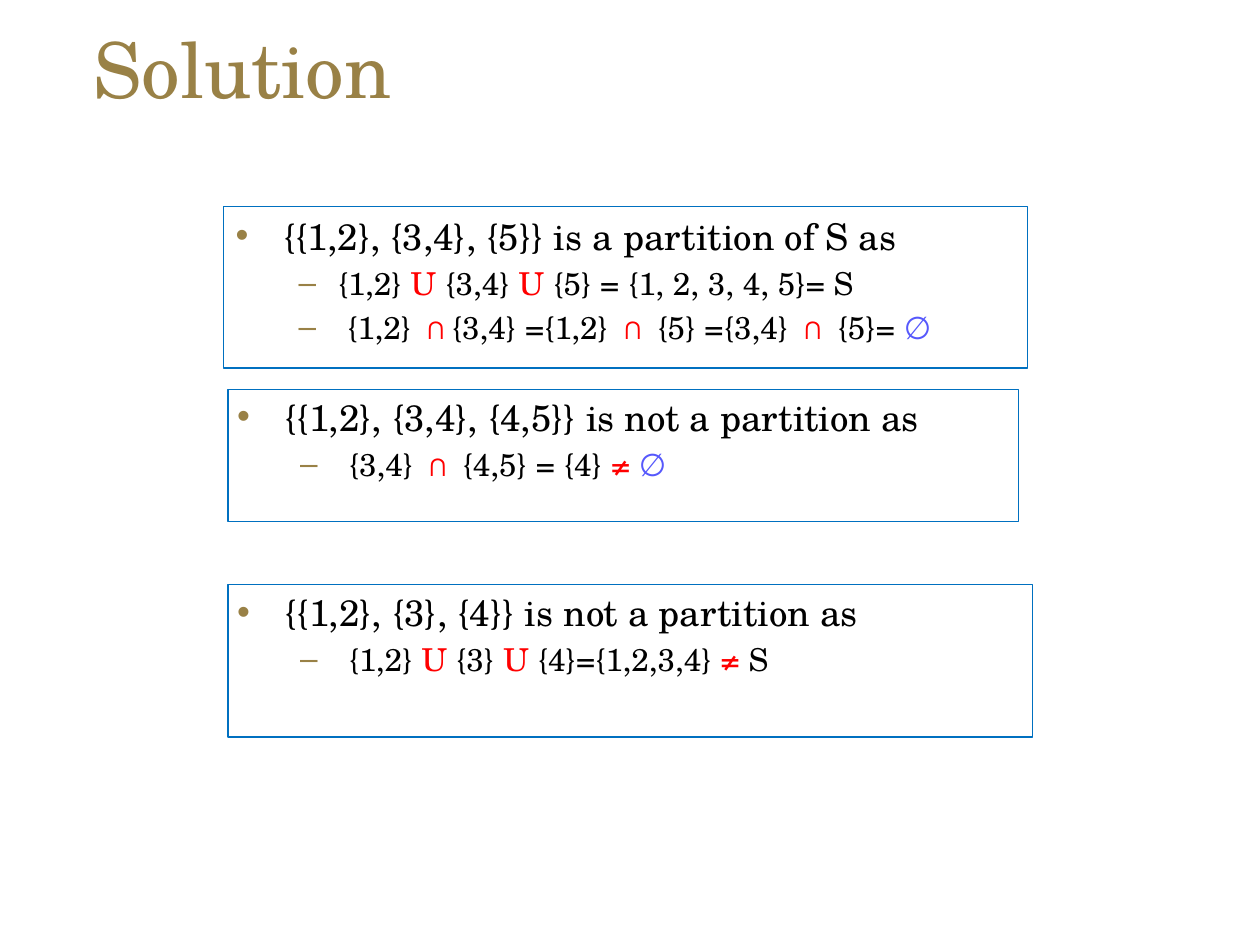
"""Build the slide that checks three families of sets for being partitions."""
from itertools import groupby

from lxml import etree
from pptx import Presentation
from pptx import util as u
from pptx.dml.color import RGBColor
from pptx.enum import shapes, text
from pptx.oxml.ns import qn

GOLD = RGBColor(0x99, 0x81, 0x46)
BLUE = RGBColor(0x00, 0x70, 0xC0)
BLACK = RGBColor(0x00, 0x00, 0x00)
RED = RGBColor(0xFF, 0x00, 0x00)
VIOLET = RGBColor(0x56, 0x58, 0xFC)
SYMBOLS = {"U": RED, "∩": RED, "≠": RED, "∅": VIOLET}

WIDE, NARROW = (0.25, 0.13), (0.18, 0.1)
CLAIM = ("•", 21, 0.96, 0.96)
STEP = ("–", 18, 2.06, 0.79)
INSET_STEP = ("–", 18, 2.25, 0.98)

PANELS = [
    ((4.5, 4.17, 16.21, 3.25), WIDE, [
        (CLAIM, "{{1,2}, {3,4}, {5}} is a partition of S as"),
        (STEP, "{1,2} U {3,4} U {5} = {1, 2, 3, 4, 5}= S"),
        (INSET_STEP, "{1,2} ∩{3,4} ={1,2} ∩ {5} ={3,4} ∩ {5}= ∅"),
    ]),
    ((4.6, 7.85, 15.93, 2.67), NARROW, [
        (CLAIM, "{{1,2}, {3,4}, {4,5}} is not a partition as"),
        (INSET_STEP, "{3,4} ∩ {4,5} = {4} ≠ ∅"),
    ]),
    ((4.6, 11.79, 16.21, 3.07), NARROW, [
        (CLAIM, "{{1,2}, {3}, {4}} is not a partition as"),
        (INSET_STEP, "{1,2} U {3} U {4}={1,2,3,4} ≠ S"),
    ]),
]


class Deck:
    """Hold the text style and the current slide."""

    font, math_font = "TeX Gyre Schola", "Calibri"

    def __init__(self, s):
        self.s = s

    def frame(self, sp, inset):
        tf = sp.text_frame
        tf.word_wrap = True
        tf.vertical_anchor = text.MSO_ANCHOR.TOP
        tf.margin_left = tf.margin_right = u.Cm(inset[0])
        tf.margin_top = tf.margin_bottom = u.Cm(inset[1])
        return tf

    def run(self, p, words, size, color):
        r = p.add_run()
        r.text = words
        r.font.size = u.Pt(size)
        r.font.name = self.math_font if color == VIOLET else self.font
        r.font.color.rgb = color

    def title(self, words, box):
        sp = self.s.shapes.add_textbox(*map(u.Cm, box))
        self.run(self.frame(sp, WIDE).paragraphs[0], words, 44, GOLD)

    def bullet(self, p, style, words):
        char, size, left, hang = style
        pPr = p._p.get_or_add_pPr()
        pPr.set("marL", str(u.Cm(left)))
        pPr.set("indent", str(-u.Cm(hang)))
        clr = etree.SubElement(pPr, qn("a:buClr"))
        etree.SubElement(clr, qn("a:srgbClr"), val=str(GOLD))
        etree.SubElement(pPr, qn("a:buFont"), typeface="Arial")
        etree.SubElement(pPr, qn("a:buChar"), char=char)
        p.alignment = text.PP_ALIGN.LEFT
        for color, chars in groupby(words, lambda c: SYMBOLS.get(c, BLACK)):
            self.run(p, "".join(chars), size, color)

    def panel(self, box, inset, lines):
        sp = self.s.shapes.add_shape(shapes.MSO_SHAPE.RECTANGLE, *map(u.Cm, box))
        sp.shadow.inherit = False
        sp.fill.background()
        sp.line.color.rgb = BLUE
        sp.line.width = u.Pt(0.75)
        tf = self.frame(sp, inset)
        for i, (style, words) in enumerate(lines):
            p = tf.add_paragraph() if i else tf.paragraphs[0]
            self.bullet(p, style, words)
            if i:
                p.space_before = u.Pt(3.6)


def main():
    prs = Presentation()
    prs.slide_width, prs.slide_height = u.Cm(25.4), u.Cm(19.05)
    deck = Deck(prs.slides.add_slide(prs.slide_layouts[6]))
    deck.title("Solution", (1.63, 0.3, 21.87, 2.06))
    for box, inset, lines in PANELS:
        deck.panel(box, inset, lines)
    prs.save("out.pptx")


if __name__ == "__main__":
    main()
